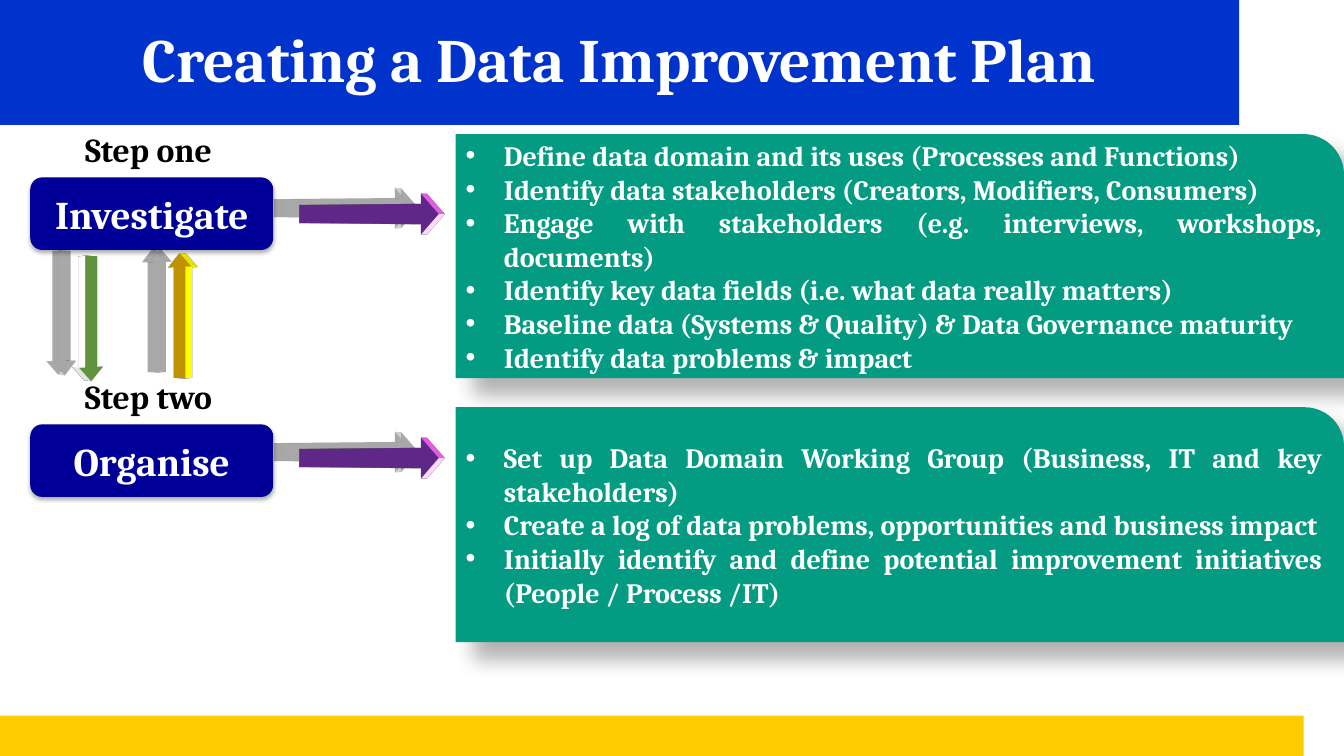
from pptx import Presentation
from pptx.dml.color import RGBColor
from pptx.enum.shapes import MSO_SHAPE as Preset
from pptx.enum.text import MSO_ANCHOR as Anchor, MSO_AUTO_SIZE as AutoSize, PP_ALIGN as Align
from pptx.oxml import parse_xml
from pptx.oxml.ns import nsdecls
from pptx.util import Inches, Pt

TITLE = "Creating a Data Improvement Plan"
STEPS = [
    {"label": "Step one ", "name": "Investigate", "panel": (1.33, 2.42), "arrow_top": 1.93,
     "tasks": ["Define data domain and its uses (Processes and Functions)",
               "Identify data stakeholders (Creators, Modifiers, Consumers)",
               "Engage with stakeholders (e.g. interviews, workshops, documents)",
               "Identify key data fields (i.e. what data really matters)",
               "Baseline data (Systems & Quality) & Data Governance maturity",
               "Identify data problems & impact"]},
    {"label": "Step two ", "name": "Organise", "panel": (4.04, 2.33), "arrow_top": 4.35,
     "tasks": ["Set up Data Domain Working Group (Business, IT and key stakeholders)",
               "Create a log of data problems, opportunities and business impact",
               "Initially identify and define potential improvement initiatives "
               "(People / Process /IT)"]},
]
# left, top, rotation, face colour, side colour
RETURN_ARROWS = [(1.64, 2.51, 0, "E2AC00", "FFFF00"), (0.76, 2.54, 180, "70AD47", "FFFFFF")]

SLIDE_W, SLIDE_H = 13.33, 7.5
BAND_H = 0.4
STEP_TOP, STEP_PITCH = 1.23, 2.45
LABEL_H, BUTTON_OFFSET = 0.5, 0.53
PANEL_LEFT = 4.52
FONT, WHITE, BLACK = "Cambria", "FFFFFF", "000000"
# opacity %, blur pt, distance pt, angle
BUTTON_SHADOW = (32, 3.5, 2.2, 90)
PANEL_SHADOW = (30, 15, 18, 45)
ARROW_SHADOW = (18, 14.5, 19, 192)


def rgb(code):
    return RGBColor.from_string(code)


def place(shape, left, top, width, height):
    shape.left, shape.top = Inches(left), Inches(top)
    shape.width, shape.height = Inches(width), Inches(height)


def add_block(slide, preset, box, fill, shadow=None):
    block = slide.shapes.add_shape(preset, *map(Inches, box))
    block.fill.solid()
    block.fill.fore_color.rgb = rgb(fill)
    block.line.fill.background()
    block.shadow.inherit = False
    if shadow:
        opacity, blur, distance, angle = shadow
        effects = block._element.spPr.find("{*}effectLst")
        effects.append(parse_xml(
            f'<a:outerShdw {nsdecls("a")} blurRad="{Pt(blur)}" dist="{Pt(distance)}" '
            f'dir="{angle * 60000}" rotWithShape="0"><a:srgbClr val="{BLACK}">'
            f'<a:alpha val="{opacity * 1000}"/></a:srgbClr></a:outerShdw>'))
    return block


def write(frame, lines, size, color=WHITE, align=Align.CENTER, anchor=Anchor.MIDDLE):
    frame.word_wrap = True
    frame.vertical_anchor = anchor
    for number, line in enumerate(lines):
        paragraph = frame.add_paragraph() if number else frame.paragraphs[0]
        paragraph.alignment = align
        run = paragraph.add_run()
        run.text = line
        run.font.name, run.font.size, run.font.bold = FONT, Pt(size), True
        run.font.color.rgb = rgb(color)


def add_bullets(frame):
    for paragraph in frame.paragraphs:
        properties = paragraph._p.get_or_add_pPr()
        properties.set("marL", str(Inches(0.38)))
        properties.set("indent", str(-Inches(0.38)))
        properties.append(parse_xml(f'<a:buFont {nsdecls("a")} typeface="Arial"/>'))
        properties.append(parse_xml(f'<a:buChar {nsdecls("a")} char="•"/>'))


def add_solid_arrow(slide, preset, box, face, side):
    """Arrow turned in perspective, with a coloured extruded side."""
    arrow = add_block(slide, preset, box, face, ARROW_SHADOW)
    properties = arrow._element.spPr
    properties.append(parse_xml(
        f'<a:scene3d {nsdecls("a")}><a:camera prst="perspectiveFront" fov="5100000">'
        '<a:rot lat="0" lon="2100000" rev="0"/></a:camera><a:lightRig rig="flood" dir="t">'
        '<a:rot lat="0" lon="0" rev="13800000"/></a:lightRig></a:scene3d>'))
    properties.append(parse_xml(
        f'<a:sp3d {nsdecls("a")} extrusionH="107950" prstMaterial="plastic">'
        f'<a:extrusionClr><a:srgbClr val="{side}"/></a:extrusionClr></a:sp3d>'))
    return arrow


def add_step(slide, step, top):
    button = add_block(slide, Preset.ROUNDED_RECTANGLE, (0.3, top + BUTTON_OFFSET, 2.41, 0.72),
                       "000099", BUTTON_SHADOW)
    write(button.text_frame, [step["name"]], 28)

    panel_top, panel_h = step["panel"]
    panel = add_block(slide, Preset.ROUND_1_RECTANGLE,
                      (PANEL_LEFT, panel_top, SLIDE_W - PANEL_LEFT, panel_h),
                      "039B82", PANEL_SHADOW)
    write(panel.text_frame, step["tasks"], 20, align=Align.JUSTIFY)
    add_bullets(panel.text_frame)

    label = slide.shapes.add_textbox(*map(Inches, (0.71, top, 1.6, LABEL_H)))
    write(label.text_frame, [step["label"]], 24, BLACK, anchor=Anchor.TOP)
    label.text_frame.auto_size = AutoSize.SHAPE_TO_FIT_TEXT

    add_solid_arrow(slide, Preset.RIGHT_ARROW, (2.78, step["arrow_top"], 1.67, 0.38),
                    "7030A0", "FF66FF")


def main():
    deck = Presentation()
    deck.slide_width, deck.slide_height = Inches(SLIDE_W), Inches(SLIDE_H)
    slide = deck.slides.add_slide(deck.slide_layouts[5])

    add_block(slide, Preset.RECTANGLE, (0, SLIDE_H - BAND_H, 0.97 * SLIDE_W, BAND_H), "FFCC00")

    title = slide.shapes.title
    place(title, 0, 0, 12.29, 1.24)
    title.fill.solid()
    title.fill.fore_color.rgb = rgb("0033CC")
    write(title.text_frame, [TITLE], 44)
    title.text_frame.auto_size = AutoSize.NONE
    title.text_frame.paragraphs[0].line_spacing = 0.9

    for number, step in enumerate(STEPS):
        add_step(slide, step, STEP_TOP + number * STEP_PITCH)

    for left, top, rotation, face, side in RETURN_ARROWS:
        arrow = add_solid_arrow(slide, Preset.UP_ARROW, (left, top, 0.28, 1.24), face, side)
        arrow.rotation = rotation

    deck.save("out.pptx")


if __name__ == "__main__":
    main()
